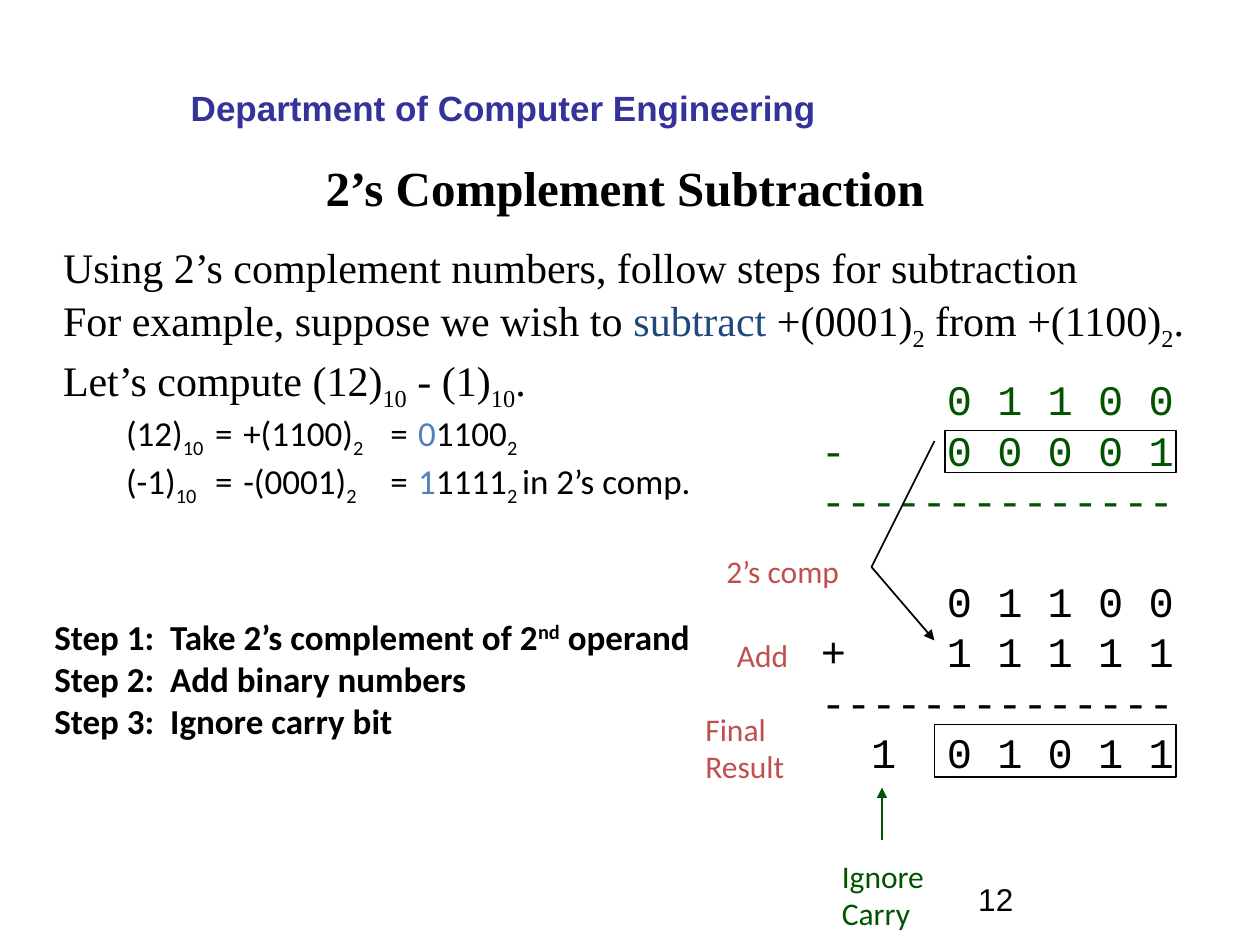
from pptx import Presentation
from pptx.dml.color import RGBColor
from pptx.enum.shapes import MSO_CONNECTOR, MSO_SHAPE
from pptx.enum.text import MSO_ANCHOR, MSO_AUTO_SIZE, PP_ALIGN
from pptx.oxml.ns import qn
from pptx.util import Pt
from lxml import etree

STRAIGHT = MSO_CONNECTOR.STRAIGHT
RECTANGLE = MSO_SHAPE.RECTANGLE
TOP = MSO_ANCHOR.TOP
NO_AUTOFIT = MSO_AUTO_SIZE.NONE
LEFT = PP_ALIGN.LEFT

BLACK = RGBColor(0x00, 0x00, 0x00)
NAVY = RGBColor(0x1F, 0x49, 0x7D)
BLUE = RGBColor(0x4F, 0x81, 0xBD)
RED = RGBColor(0xC0, 0x50, 0x4D)
GREEN = RGBColor(0x00, 0x54, 0x00)
VIOLET = RGBColor(0x33, 0x33, 0x99)

SERIF, SANS, MONO, ARIAL = "Times New Roman", "Calibri", "Courier New", "Arial"
SUB, SUPER = -25000, 30000
MONO_PITCH = 28.8
BODY_TABS = (36, 87, 103, 187, 203)
SUM_TABS = (28.8, 72)


def sub(text):
    return text, SUB, None


def tinted(text, color):
    return text, 0, color


def set_tabs(paragraph, positions):
    properties = paragraph._p.get_or_add_pPr()
    tabs = etree.Element(qn("a:tabLst"))
    for position in positions:
        etree.SubElement(tabs, qn("a:tab"), pos=str(Pt(position)), algn="l")
    default_run = properties.find(qn("a:defRPr"))
    if default_run is None:
        properties.append(tabs)
    else:
        default_run.addprevious(tabs)


def write_paragraph(paragraph, pieces, font, size, color, bold=False):
    """Fill a paragraph from strings and (text, baseline, color) tuples."""
    paragraph.alignment = LEFT
    paragraph.font.name = font
    paragraph.font.size = Pt(size)
    paragraph.font.bold = bold
    paragraph.font.color.rgb = color
    for piece in pieces:
        text, baseline, tint = (piece, 0, None) if isinstance(piece, str) else piece
        run = paragraph.add_run()
        run.text = text
        if baseline:
            run._r.get_or_add_rPr().set("baseline", str(baseline))
        if tint is not None:
            run.font.color.rgb = tint


def format_frame(frame, left=0, top=0, right=0, bottom=0):
    frame.word_wrap = True
    frame.auto_size = NO_AUTOFIT
    frame.vertical_anchor = TOP
    frame.margin_left, frame.margin_top = Pt(left), Pt(top)
    frame.margin_right, frame.margin_bottom = Pt(right), Pt(bottom)


def add_frame(slide, left, top, width, height, margins=(7.2, 3.6, 7.2, 3.6)):
    box = slide.shapes.add_textbox(Pt(left), Pt(top), Pt(width), Pt(height))
    format_frame(box.text_frame, *margins)
    return box.text_frame


def next_paragraph(frame, index):
    return frame.add_paragraph() if index else frame.paragraphs[0]


def add_lines(slide, place, lines, font, size, color, bold=False, **options):
    frame = add_frame(slide, *place, **options)
    for index, pieces in enumerate(lines):
        write_paragraph(next_paragraph(frame, index), pieces, font, size, color, bold)
    return frame


def add_line(slide, start, end, color, arrow=False):
    line = slide.shapes.add_connector(STRAIGHT, *map(Pt, start + end))
    line.line.color.rgb = color
    line.line.width = Pt(1)
    if arrow:
        etree.SubElement(line.line._get_or_add_ln(), qn("a:tailEnd"), type="triangle")
    etree.SubElement(line._element.spPr, qn("a:effectLst"))


def add_outline(slide, left, top, width, height):
    shape = slide.shapes.add_shape(RECTANGLE, Pt(left), Pt(top), Pt(width), Pt(height))
    shape.shadow.inherit = False
    shape.fill.background()
    shape.line.color.rgb = BLACK
    shape.line.width = Pt(1)


def set_title(slide, text):
    title = slide.shapes.title
    title.left, title.top, title.width, title.height = map(Pt, (186, 90, 385, 68))
    format_frame(title.text_frame)
    paragraph = title.text_frame.paragraphs[0]
    write_paragraph(paragraph, [text], SERIF, 28, BLACK, bold=True)
    paragraph.space_before = Pt(3)


def add_explanation(slide):
    statements = [
        ["Using 2’s complement numbers, follow steps for subtraction"],
        ["For example, suppose we wish to ", tinted("subtract", NAVY), " +(0001)",
         sub("2"), " from +(1100)", sub("2"), "."],
        ["Let’s compute (12)", sub("10"), " - (1)", sub("10"), "."],
    ]
    conversions = [
        ["\t(12)", sub("10"), "\t=\t+(1100)", sub("2"), "\t=\t",
         tinted("0", BLUE), "1100", sub("2")],
        ["\t(-1)", sub("10"), "\t=\t-(0001)", sub("2"), "\t=\t",
         tinted("1", BLUE), "1111", sub("2 "), "in 2’s comp."],
    ]
    frame = add_lines(slide, (36, 138, 649, 165), statements, SERIF, 24, BLACK,
                      margins=(0, 0, 0, 0))
    for paragraph in frame.paragraphs:
        paragraph.space_before = Pt(1.5)
    for pieces in conversions:
        paragraph = frame.add_paragraph()
        write_paragraph(paragraph, pieces, SANS, 20, BLACK)
        set_tabs(paragraph, BODY_TABS)


def add_calculation(slide):
    """Write the subtraction and the equal addition, one digit grid for both."""
    rule = "-" * 14
    subtraction = ["\t\t0 1 1 0 0", "-\t\t0 0 0 0 1", rule]
    addition = ["\t\t0 1 1 0 0", "+\t\t1 1 1 1 1", rule, "\t1\t0 1 0 1 1"]
    frame = add_frame(slide, 462, 210, 230, 294)
    for index, text in enumerate(subtraction + addition):
        paragraph = next_paragraph(frame, index)
        color = GREEN if index < len(subtraction) else BLACK
        write_paragraph(paragraph, [text], MONO, 24, color)
        paragraph.line_spacing = Pt(MONO_PITCH)
        if index == 0:
            paragraph.space_before = Pt(3)
        elif index == len(subtraction):
            paragraph.space_before = Pt(MONO_PITCH)
        set_tabs(paragraph, SUM_TABS)


def main():
    presentation = Presentation()
    presentation.slide_width, presentation.slide_height = Pt(720), Pt(540)
    slide = presentation.slides.add_slide(presentation.slide_layouts[5])

    set_title(slide, "2’s Complement Subtraction")
    add_explanation(slide)
    add_calculation(slide)
    add_lines(slide, (24, 348, 382, 80), [
        ["Step 1:  Take 2’s complement of 2", ("nd", SUPER, None), " operand"],
        ["Step 2:  Add binary numbers"],
        ["Step 3:  Ignore carry bit"],
    ], SANS, 20, BLACK, bold=True)

    add_line(slide, (534, 252), (498, 324), BLACK)
    add_line(slide, (498, 324), (534, 366), BLACK, arrow=True)
    add_line(slide, (504, 480), (504, 450), GREEN, arrow=True)
    add_outline(slide, 540, 246, 132, 24)
    add_outline(slide, 534, 414, 138, 30)

    for place, lines, color in [
        ((408, 312, 86, 29), [["2’s comp"]], RED),
        ((414, 360, 47, 29), [["Add"]], RED),
        ((396, 402, 66, 50), [["Final"], ["Result"]], RED),
        ((474, 486, 66, 50), [["Ignore"], ["Carry"]], GREEN),
    ]:
        add_lines(slide, place, lines, SANS, 18, color)

    add_lines(slide, (108, 47.5, 364, 26), [["Department of Computer Engineering"]],
              ARIAL, 20, VIOLET, bold=True, margins=(1, 2, 0, 0))
    add_lines(slide, (556, 503, 26, 22), [["12"]], ARIAL, 18, BLACK,
              margins=(3, 0, 0, 0))
    presentation.save("out.pptx")


if __name__ == "__main__":
    main()
